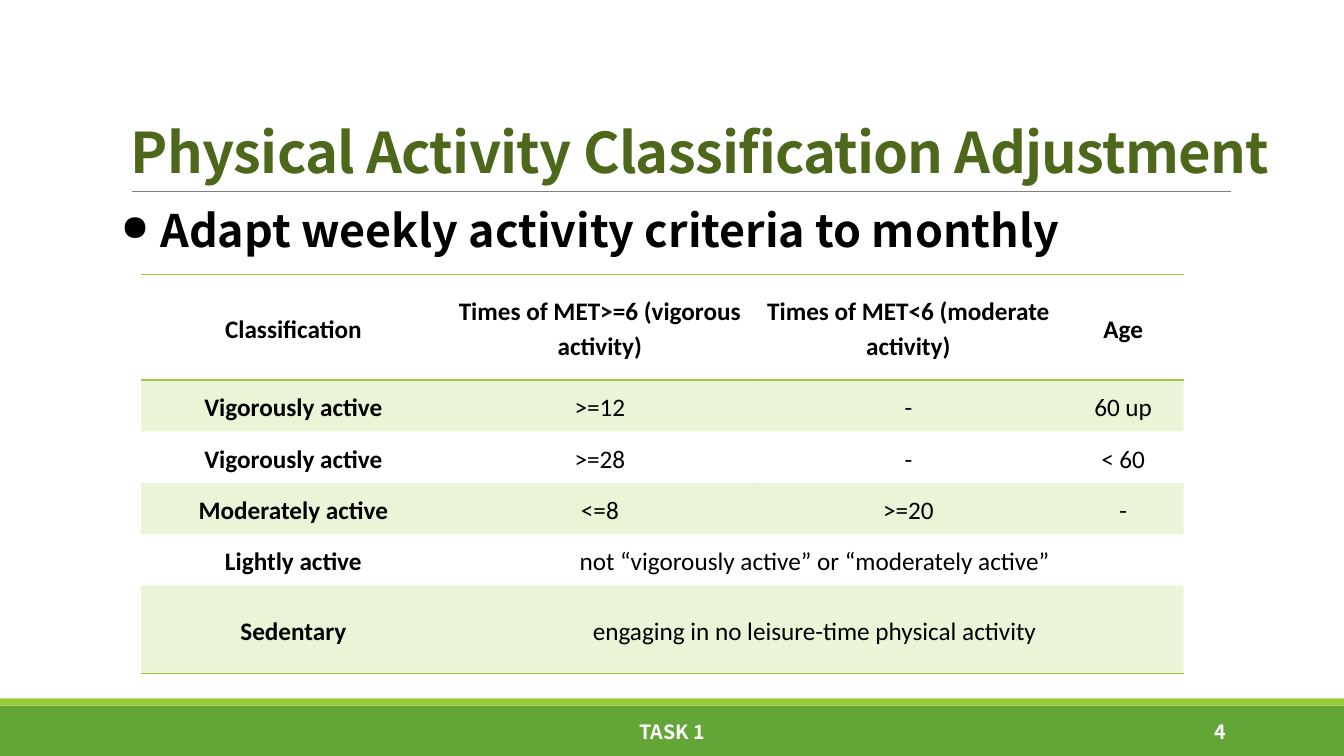
from lxml import etree
from pptx import Presentation
from pptx.dml.color import RGBColor
from pptx.enum.shapes import MSO_CONNECTOR, MSO_SHAPE
from pptx.enum.text import MSO_ANCHOR, PP_ALIGN
from pptx.oxml.ns import qn
from pptx.util import Inches, Pt

RECTANGLE = MSO_SHAPE.RECTANGLE
STRAIGHT = MSO_CONNECTOR.STRAIGHT
TOP, MIDDLE, BOTTOM = MSO_ANCHOR.TOP, MSO_ANCHOR.MIDDLE, MSO_ANCHOR.BOTTOM
LEFT, CENTER, RIGHT = PP_ALIGN.LEFT, PP_ALIGN.CENTER, PP_ALIGN.RIGHT

COLORS = {
    "title": "4D671B",
    "text": "000000",
    "footer": "63A537",
    "accent": "99CB38",
    "rule": "808080",
    "white": "FFFFFF",
}
HEADING_FONT = "Noto Sans CJK SC"
TABLE_FONT = "Calibri"
NO_STYLE = "{2D5ABB26-0587-4C30-8999-92F81FD0307C}"

COLUMN_WIDTHS = [3.02, 3.06, 3.06, 1.2]
ROW_HEIGHTS = [1.05, 0.51, 0.51, 0.51, 0.51, 0.87]
CRITERIA = [
    ["Classification", "Times of MET>=6 (vigorous activity)",
     "Times of MET<6 (moderate activity)", "Age"],
    ["Vigorously active", ">=12", "-", "60 up"],
    ["Vigorously active", ">=28", "-", "< 60"],
    ["Moderately active", "<=8", ">=20", "-"],
    ["Lightly active", "not “vigorously active” or “moderately active”"],
    ["Sedentary", "engaging in no leisure-time physical activity"],
]


def rgb(name):
    """Return the named colour."""
    return RGBColor.from_string(COLORS[name])


def add_run(paragraph, text, size, color, font=HEADING_FONT, bold=True):
    """Add one formatted run to a paragraph."""
    run = paragraph.add_run()
    run.text = text
    run.font.size = Pt(size)
    run.font.name = font
    run.font.bold = bold
    run.font.color.rgb = rgb(color)
    return run


def add_band(slide, top, height, color):
    """Add a full-width footer band."""
    band = slide.shapes.add_shape(
        RECTANGLE, 0, Inches(top), Inches(13.33), Inches(height))
    band.shadow.inherit = False
    band.fill.solid()
    band.fill.fore_color.rgb = rgb(color)
    band.line.fill.background()


def add_rule(slide, left, right, y):
    """Add the thin line under the title."""
    rule = slide.shapes.add_connector(
        STRAIGHT, Inches(left), Inches(y), Inches(right), Inches(y))
    rule.line.color.rgb = rgb("rule")
    rule.line.width = Pt(0.5)
    etree.SubElement(rule._element.spPr, qn("a:effectLst"))


def add_text(slide, box, text, size, color, anchor=MIDDLE, align=LEFT):
    """Add a one-paragraph text box and return its frame and run."""
    frame = slide.shapes.add_textbox(*map(Inches, box)).text_frame
    frame.word_wrap = True
    frame.vertical_anchor = anchor
    paragraph = frame.paragraphs[0]
    paragraph.alignment = align
    return frame, add_run(paragraph, text, size, color)


def add_title(slide, text):
    """Add the slide title with slightly tightened letters."""
    frame, run = add_text(
        slide, (1.2, 0.29, 11.55, 1.59), text, 40, "title", BOTTOM)
    frame.paragraphs[0].line_spacing = 0.85
    run.font._element.set("spc", "-50")


def add_bullet(slide, text):
    """Add the bulleted statement above the table."""
    frame, _ = add_text(slide, (1.2, 2.02, 11, 4.4), text, 32, "text", TOP)
    frame.margin_left = frame.margin_right = 0
    paragraph = frame.paragraphs[0]
    paragraph.line_spacing = 0.9
    paragraph.space_before = Pt(12)
    paragraph.space_after = Pt(2)
    properties = paragraph._p.get_or_add_pPr()
    properties.set("marL", str(Inches(0.39)))
    properties.set("indent", str(Inches(-0.39)))
    bullet_color = etree.SubElement(properties, qn("a:buClr"))
    etree.SubElement(bullet_color, qn("a:srgbClr"), val=COLORS["text"])
    etree.SubElement(properties, qn("a:buSzPct"), val="80000")
    etree.SubElement(properties, qn("a:buChar"), char="●")


def add_border(cell, side):
    """Add a 1 pt accent border to one side of a cell."""
    border = etree.SubElement(
        cell._tc.get_or_add_tcPr(), qn(f"a:ln{side}"), w=str(Pt(1)))
    fill = etree.SubElement(border, qn("a:solidFill"))
    etree.SubElement(fill, qn("a:srgbClr"), val=COLORS["accent"])


def fill_cell(cell, tinted):
    """Give a cell a light accent tint or no fill."""
    if not tinted:
        cell.fill.background()
        return
    cell.fill.solid()
    cell.fill.fore_color.rgb = rgb("accent")
    tint = next(cell._tc.tcPr.find(qn("a:solidFill")).iter(qn("a:srgbClr")))
    etree.SubElement(tint, qn("a:alpha"), val="20000")


def write_cell(cell, text, bold):
    """Write centred text into a cell."""
    paragraph = cell.text_frame.paragraphs[0]
    paragraph.alignment = CENTER
    paragraph.line_spacing = 1.15
    paragraph.space_after = Pt(8)
    add_run(paragraph, text, 18, "text", TABLE_FONT, bold)


def add_criteria_table(slide, left, top):
    """Add the classification table."""
    frame = slide.shapes.add_table(
        len(ROW_HEIGHTS), len(COLUMN_WIDTHS), Inches(left), Inches(top),
        Inches(sum(COLUMN_WIDTHS)), Inches(sum(ROW_HEIGHTS)))
    table = frame.table
    table.first_row = table.horz_banding = False
    next(frame._element.iter(qn("a:tableStyleId"))).text = NO_STYLE
    for column, width in zip(table.columns, COLUMN_WIDTHS):
        column.width = Inches(width)
    last_row, last_column = len(ROW_HEIGHTS) - 1, len(COLUMN_WIDTHS) - 1
    for r, height in enumerate(ROW_HEIGHTS):
        table.rows[r].height = Inches(height)
        sides = {0: "TB", last_row: "B"}.get(r, "")
        for c in range(last_column + 1):
            cell = table.cell(r, c)
            cell.vertical_anchor = MIDDLE
            cell.margin_left = cell.margin_right = Inches(0.07)
            cell.margin_top = cell.margin_bottom = 0
            for side in sides:
                add_border(cell, side)
            fill_cell(cell, r % 2 == 1)
        for c, text in enumerate(CRITERIA[r]):
            write_cell(table.cell(r, c), text, r == 0 or c == 0)
        if len(CRITERIA[r]) == 2:
            table.cell(r, 1).merge(table.cell(r, last_column))


def main():
    """Build the slide and save it."""
    deck = Presentation()
    deck.slide_width, deck.slide_height = Inches(13.33), Inches(7.5)
    slide = deck.slides.add_slide(deck.slide_layouts[6])
    add_band(slide, 7, 0.5, "footer")
    add_band(slide, 6.93, 0.07, "accent")
    add_rule(slide, 1.31, 12.21, 1.9)
    add_title(slide, "Physical Activity Classification Adjustment")
    add_bullet(slide, "Adapt weekly activity criteria to monthly")
    add_text(slide, (4.03, 7.06, 5.27, 0.4), "TASK 1", 14, "white", align=CENTER)
    add_text(slide, (10.83, 7.06, 1.43, 0.4), "4", 14, "white", align=RIGHT)
    add_criteria_table(slide, 1.4, 2.72)
    deck.save("out.pptx")


if __name__ == "__main__":
    main()
